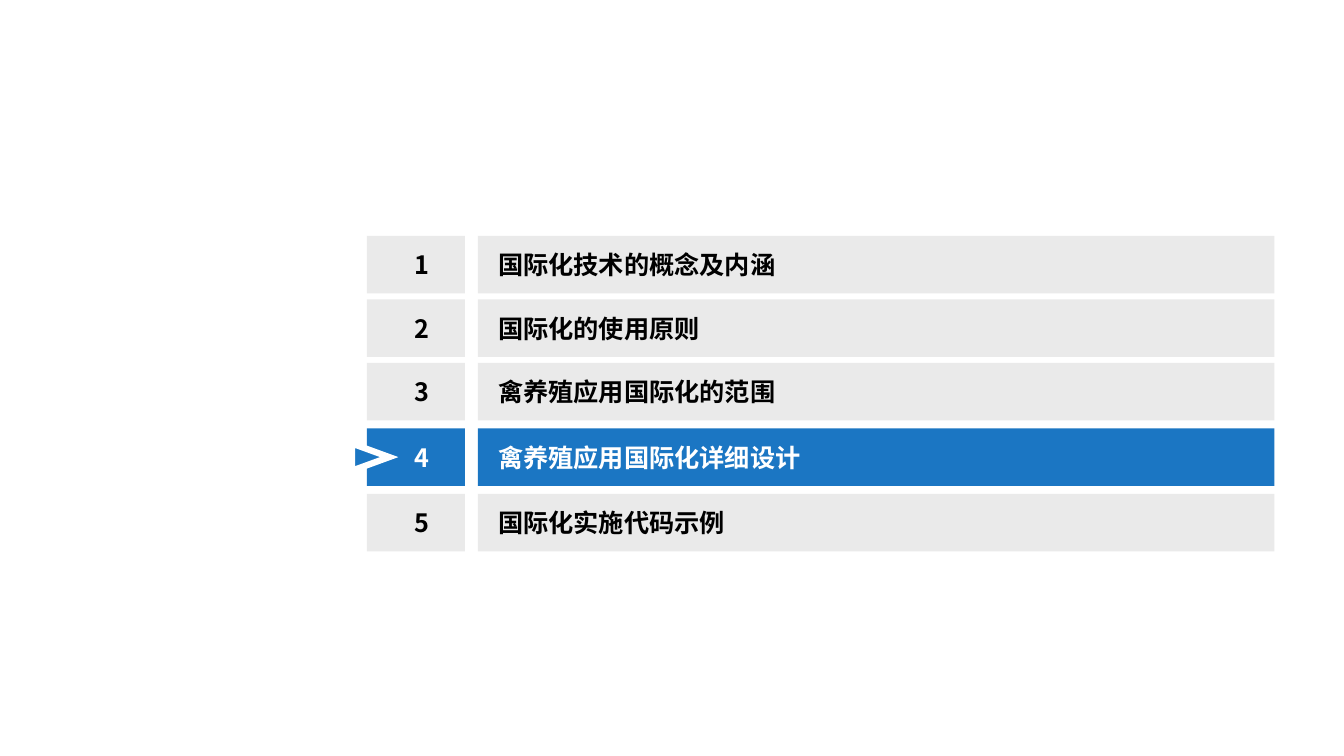
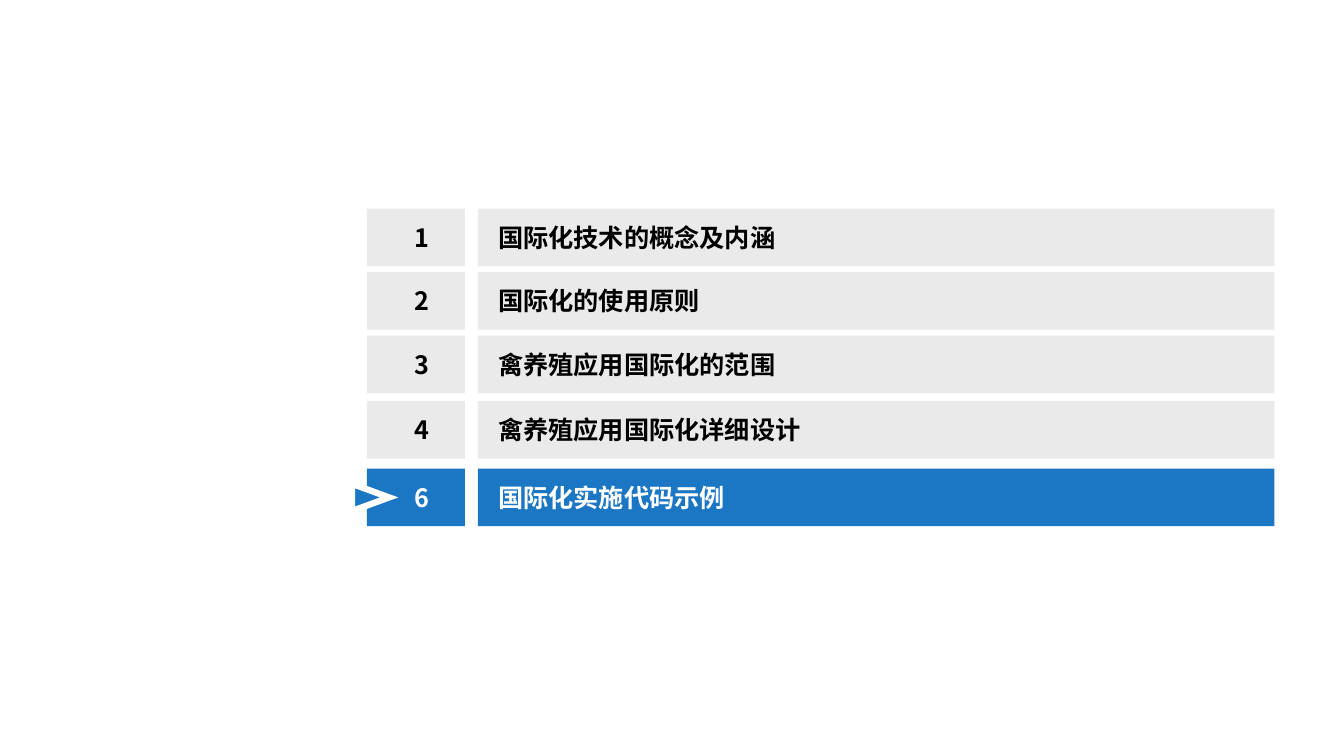
import pptx
import pptx.util
import pptx.dml.color
import pptx.enum.shapes
import pptx.enum.text
import pptx.oxml
import pptx.oxml.ns

TOPICS = [
    "国际化技术的概念及内涵",
    "国际化的使用原则",
    "禽养殖应用国际化的范围",
    "禽养殖应用国际化详细设计",
    "国际化实施代码示例",
]

# Row tops are in px; "now" is the index of the current topic.
AGENDAS = [
    {"marks": "12345", "tops": [234, 297, 360, 425, 490], "now": 3},
    {"marks": "12346", "tops": [207, 270, 333, 398, 465], "now": 4},
]

THEME = {
    "font": "Noto Sans CJK SC",
    "size": 18,
    "edge": 4.5,
    "plain": {"fill": "EAEAEA", "text": "000000"},
    "now": {"fill": "1B76C3", "text": "FFFFFF"},
    "white": "FFFFFF",
}

SCALE = 9144  # EMU in one px, 100 px to the inch
SIZE = (1333, 750)
ROW = 57
MARK = (364, 97)  # left, width
TOPIC = (474, 790)
ARROW = (354, 27, 37)  # left, width, height before turning
INSETS = {"left": 20, "top": 5, "right": 8, "bottom": 5}

SHAPE = pptx.enum.shapes.MSO_SHAPE
ALIGN = pptx.enum.text.PP_ALIGN


def px(value):
    return pptx.util.Emu(round(value * SCALE))


def tint(code):
    return pptx.dml.color.RGBColor.from_string(code)


def apply(target, values):
    for name, value in values.items():
        setattr(target, name, value)


def add_solid(slide, kind, box, fill):
    shape = slide.shapes.add_shape(kind, *map(px, box))
    shape.shadow.inherit = False
    shape.fill.solid()
    shape.fill.fore_color.rgb = tint(fill)
    shape.line.fill.background()
    return shape


def add_cell(slide, box, text, align, style):
    shape = add_solid(slide, SHAPE.RECTANGLE, box, style["fill"])
    frame = shape.text_frame
    apply(frame, {f"margin_{side}": px(gap) for side, gap in INSETS.items()})
    apply(frame, {"word_wrap": True,
                  "vertical_anchor": pptx.enum.text.MSO_ANCHOR.MIDDLE})
    line = frame.paragraphs[0]
    line.alignment = align
    run = line.add_run()
    run.text = text
    apply(run.font, {"name": THEME["font"], "bold": True,
                     "size": pptx.util.Pt(THEME["size"])})
    run.font.color.rgb = tint(style["text"])
    east = pptx.oxml.parse_xml(
        f'<a:ea {pptx.oxml.ns.nsdecls("a")} typeface="{THEME["font"]}"/>')
    run.font._element.find(pptx.oxml.ns.qn("a:latin")).addnext(east)


def add_arrow(slide, top):
    """Point at the current row, centred on its height, with sharp corners."""
    left, width, height = ARROW
    box = (left, top + (ROW - height) / 2, width, height)
    shape = add_solid(slide, SHAPE.ISOSCELES_TRIANGLE, box,
                      THEME["now"]["fill"])
    shape.rotation = 90
    shape.line.color.rgb = tint(THEME["white"])
    shape.line.width = pptx.util.Pt(THEME["edge"])
    edge = shape._element.spPr.find(pptx.oxml.ns.qn("a:ln"))
    edge.append(pptx.oxml.parse_xml(
        f'<a:miter {pptx.oxml.ns.nsdecls("a")} lim="800000"/>'))


def add_agenda(deck, agenda):
    slide = deck.slides.add_slide(deck.slide_layouts[6])
    rows = zip(agenda["marks"], TOPICS, agenda["tops"])
    for index, (mark, topic, top) in enumerate(rows):
        style = THEME["now" if index == agenda["now"] else "plain"]
        cells = [(MARK, mark, ALIGN.CENTER), (TOPIC, topic, ALIGN.LEFT)]
        for (left, width), text, align in cells:
            add_cell(slide, (left, top, width, ROW), text, align, style)
    add_arrow(slide, agenda["tops"][agenda["now"]])


def main():
    deck = pptx.Presentation()
    deck.slide_width, deck.slide_height = map(px, SIZE)
    for agenda in AGENDAS:
        add_agenda(deck, agenda)
    deck.save("out.pptx")


if __name__ == "__main__":
    main()
